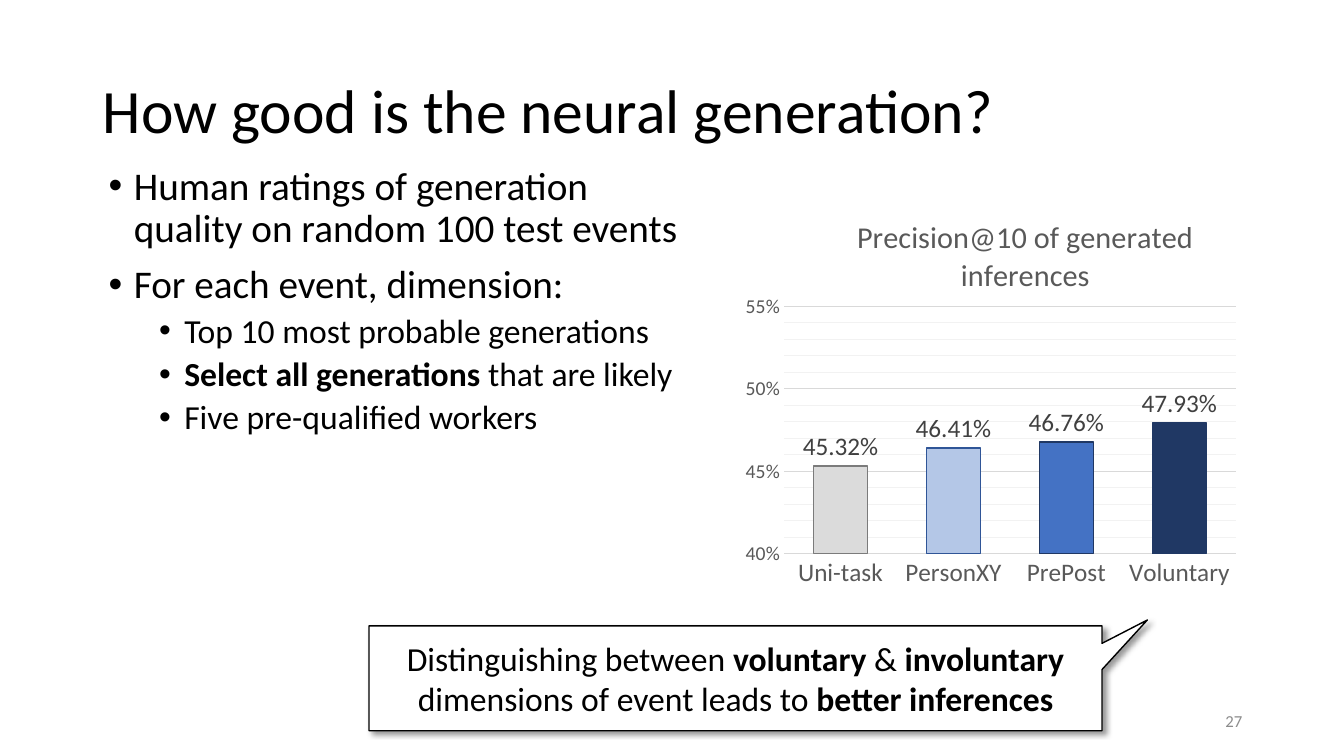
from lxml import etree
from pptx import Presentation
from pptx.chart.data import CategoryChartData
from pptx.dml.color import RGBColor
from pptx.enum.chart import XL_CHART_TYPE, XL_LABEL_POSITION, XL_TICK_MARK
from pptx.enum.shapes import MSO_SHAPE
from pptx.enum.text import MSO_ANCHOR, PP_ALIGN
from pptx.oxml import parse_xml
from pptx.oxml.ns import nsdecls, qn
from pptx.util import Inches, Pt

COLUMNS = XL_CHART_TYPE.COLUMN_CLUSTERED
OUTSIDE_END = XL_LABEL_POSITION.OUTSIDE_END
NO_TICK = XL_TICK_MARK.NONE
CALLOUT = MSO_SHAPE.RECTANGULAR_CALLOUT
TOP, MIDDLE = MSO_ANCHOR.TOP, MSO_ANCHOR.MIDDLE
LEFT, CENTER, RIGHT = PP_ALIGN.LEFT, PP_ALIGN.CENTER, PP_ALIGN.RIGHT

FONT = "Calibri"
BLACK = RGBColor(0x00, 0x00, 0x00)
WHITE = RGBColor(0xFF, 0xFF, 0xFF)
PAGE_GRAY = RGBColor(0x8C, 0x8C, 0x8C)
AXIS_GRAY = RGBColor(0x59, 0x59, 0x59)
LABEL_GRAY = RGBColor(0x40, 0x40, 0x40)
GRID_GRAY = RGBColor(0xD9, 0xD9, 0xD9)
MINOR_GRAY = RGBColor(0xF2, 0xF2, 0xF2)
BAR_GRAY = RGBColor(0xDB, 0xDB, 0xDB)
EDGE_GRAY = RGBColor(0x7B, 0x7B, 0x7B)
PALE_BLUE = RGBColor(0xB4, 0xC7, 0xE7)
BLUE = RGBColor(0x44, 0x72, 0xC4)
DEEP_BLUE = RGBColor(0x2F, 0x55, 0x97)
NAVY = RGBColor(0x20, 0x38, 0x64)

deck = Presentation()
deck.slide_width, deck.slide_height = Inches(13.33), Inches(7.5)
slide = deck.slides.add_slide(deck.slide_layouts[6])


def write(frame, text, size, color=BLACK, align=LEFT, anchor=MIDDLE,
          spacing=1.0, before=0, indent=None):
    frame.word_wrap = True
    frame.vertical_anchor = anchor
    paragraph = frame.paragraphs[0]
    if paragraph.runs:
        paragraph = frame.add_paragraph()
    if indent:
        properties = paragraph._p.get_or_add_pPr()
        properties.set("marL", str(Inches(indent)))
        properties.set("indent", str(-Inches(0.25)))
        etree.SubElement(properties, qn("a:buFont")).set("typeface", "Arial")
        etree.SubElement(properties, qn("a:buChar")).set("char", "•")
    paragraph.alignment = align
    paragraph.line_spacing = spacing
    paragraph.space_before = Pt(before)
    for position, part in enumerate(text.split("**")):
        if part:
            run = paragraph.add_run()
            run.text = part
            run.font.name = FONT
            run.font.size = Pt(size)
            run.font.color.rgb = color
            run.font.bold = position % 2 == 1


heading = slide.shapes.add_textbox(Inches(0.92), Inches(0.4), Inches(11.5), Inches(1.45))
write(heading.text_frame, "How good is the neural generation?", 44, spacing=0.9)

method = slide.shapes.add_textbox(Inches(0.98), Inches(1.6), Inches(5.94), Inches(3.17))
for text, level, before in [
    ("Human ratings of generation quality on random 100 test events", 0, 0),
    ("For each event, dimension:", 0, 10),
    ("Top 10 most probable generations", 1, 5),
    ("**Select all generations** that are likely", 1, 5),
    ("Five pre-qualified workers", 1, 5),
]:
    write(method.text_frame, text, 28 - 4 * level, anchor=TOP, spacing=0.9,
          before=before, indent=0.25 + 0.5 * level)

models = [
    ("Uni-task", 0.4532, BAR_GRAY, EDGE_GRAY),
    ("PersonXY", 0.4641, PALE_BLUE, DEEP_BLUE),
    ("PrePost", 0.4676, BLUE, NAVY),
    ("Voluntary", 0.4793, NAVY, NAVY),
]
precision = CategoryChartData(number_format="0.00%")
precision.categories = [model[0] for model in models]
precision.add_series("Series 1", [model[1] for model in models])
chart = slide.shapes.add_chart(COLUMNS, Inches(7.21), Inches(1.75), Inches(5.15),
                               Inches(4.16), precision).chart
chart.has_legend = False
chart.font.name, chart.font.size = FONT, Pt(18)
chart.has_title = True
write(chart.chart_title.text_frame, "Precision@10 of generated inferences", 21.6,
      AXIS_GRAY, CENTER)

plot = chart.plots[0]
plot.gap_width, plot.overlap = 109, -27
plot.vary_by_categories = False
plot.has_data_labels = True
labels = plot.data_labels
labels.show_value, labels.position = True, OUTSIDE_END
labels.number_format, labels.number_format_is_linked = "0.00%", False
labels.font.name, labels.font.size = FONT, Pt(18)
labels.font.color.rgb = LABEL_GRAY
for index, (name, value, fill, edge) in enumerate(models):
    bar = plot.series[0].points[index].format
    bar.fill.solid()
    bar.fill.fore_color.rgb = fill
    bar.line.color.rgb = edge
    bar.line.width = Pt(1)

names, scale = chart.category_axis, chart.value_axis
for axis, size in [(names, 18), (scale, 14)]:
    axis.major_tick_mark = axis.minor_tick_mark = NO_TICK
    axis.tick_labels.font.name, axis.tick_labels.font.size = FONT, Pt(size)
    axis.tick_labels.font.color.rgb = AXIS_GRAY
scale.minimum_scale, scale.maximum_scale = 0.4, 0.55
scale.major_unit, scale.minor_unit = 0.05, 0.01
scale.has_major_gridlines = scale.has_minor_gridlines = True
scale.tick_labels.number_format, scale.tick_labels.number_format_is_linked = "0%", False
scale.format.line.fill.background()
for line in (names.format.line, scale.major_gridlines.format.line):
    line.color.rgb = GRID_GRAY
    line.width = Pt(0.75)
scale._element.find(qn("c:minorGridlines")).append(parse_xml(
    f'<c:spPr {nsdecls("c", "a")}><a:ln w="{Pt(0.75)}"><a:solidFill>'
    f'<a:srgbClr val="{MINOR_GRAY}"/></a:solidFill></a:ln></c:spPr>'))


def place(element, **shares):
    for old in element.findall(qn("c:layout")):
        element.remove(old)
    layout = etree.Element(qn("c:layout"))
    manual = etree.SubElement(layout, qn("c:manualLayout"))
    if "w" in shares:
        etree.SubElement(manual, qn("c:layoutTarget")).set("val", "inner")
    for side in "xy":
        etree.SubElement(manual, qn(f"c:{side}Mode")).set("val", "edge")
    for side, share in shares.items():
        etree.SubElement(manual, qn(f"c:{side}")).set("val", str(share))
    element.insert(1 if element.tag == qn("c:title") else 0, layout)


place(chart.chart_title._element, x=0.24, y=0.08)
place(chart._chartSpace.chart.plotArea, x=0.11, y=0.31, w=0.87, h=0.59)

takeaway = slide.shapes.add_shape(CALLOUT, Inches(3.66), Inches(6.21), Inches(7.27), Inches(1.04))
takeaway.adjustments[0], takeaway.adjustments[1] = 0.562, -0.557
takeaway.fill.solid()
takeaway.fill.fore_color.rgb = WHITE
takeaway.line.color.rgb = BLACK
takeaway.line.width = Pt(1)
takeaway._element.spPr.append(parse_xml(
    f'<a:effectLst {nsdecls("a")}><a:outerShdw blurRad="{Pt(4)}" dist="{Pt(3)}" '
    'dir="2700000" algn="tl" rotWithShape="0"><a:srgbClr val="000000">'
    '<a:alpha val="40000"/></a:srgbClr></a:outerShdw></a:effectLst>'))
write(takeaway.text_frame,
      "Distinguishing between **voluntary **&** involuntary **"
      "dimensions of event leads to **better inferences**", 24, align=CENTER)

page = slide.shapes.add_textbox(Inches(9.42), Inches(6.95), Inches(3), Inches(0.4))
write(page.text_frame, "27", 12, PAGE_GRAY, RIGHT)

deck.save("out.pptx")
